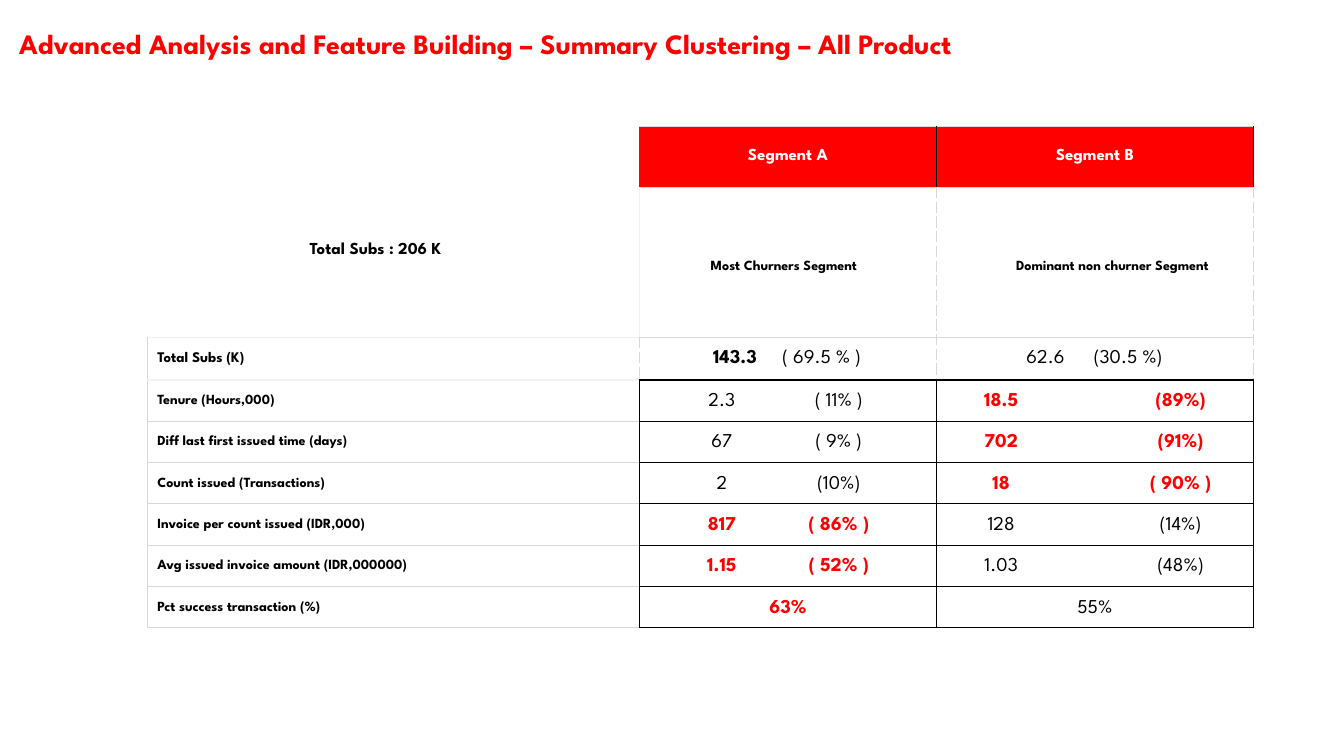
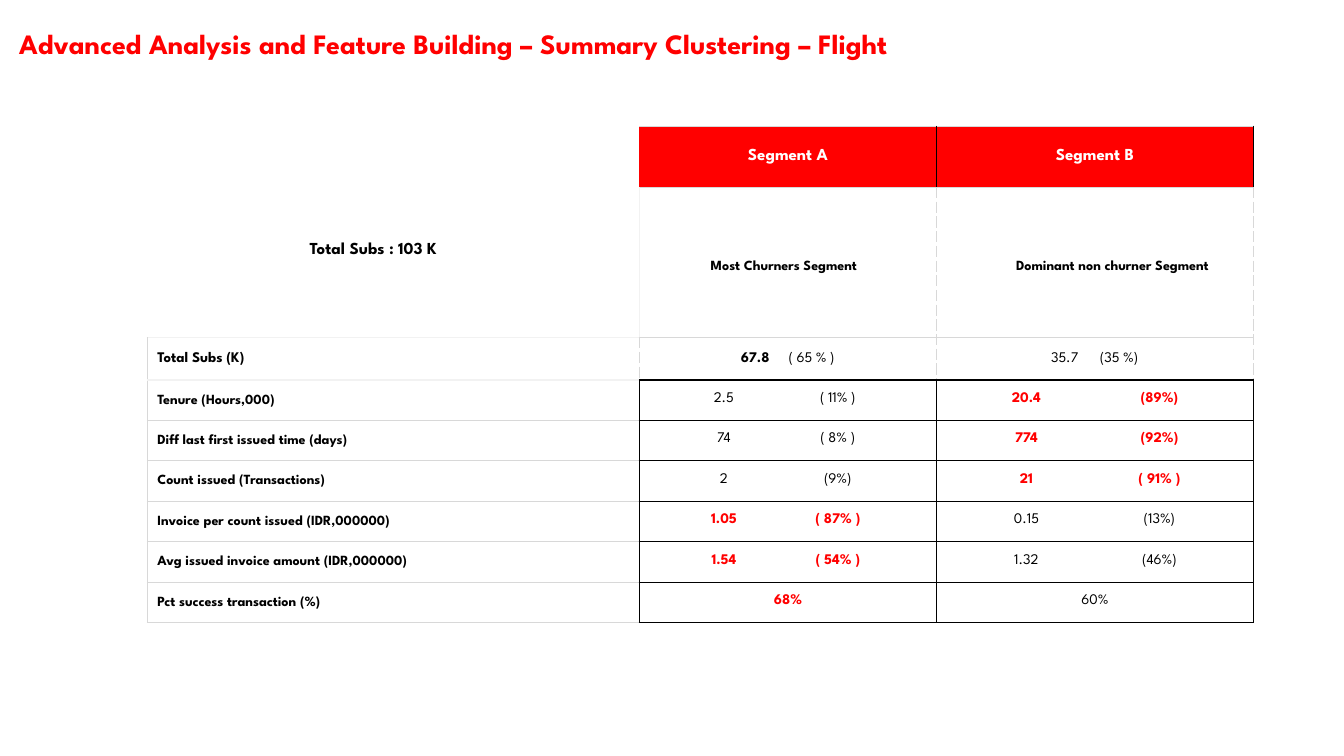
from dataclasses import dataclass

from lxml import etree
from pptx import Presentation
from pptx.dml.color import RGBColor
from pptx.enum.text import MSO_ANCHOR, PP_ALIGN
from pptx.oxml.ns import qn
from pptx.util import Inches, Pt

TOP, MIDDLE, BOTTOM = MSO_ANCHOR.TOP, MSO_ANCHOR.MIDDLE, MSO_ANCHOR.BOTTOM
LEFT, CENTER = PP_ALIGN.LEFT, PP_ALIGN.CENTER
NO_GRID_STYLE = "{2D5ABB26-0587-4C30-8999-92F81FD0307C}"


@dataclass(frozen=True)
class Theme:
    font: str = "League Spartan"
    red: str = "FF0000"
    black: str = "000000"
    white: str = "FFFFFF"
    grey: str = "D8D8D8"
    pale: str = "F2F2F2"
    title: float = 20
    head: float = 12
    total_label: float = 10.5
    label: float = 10


T = Theme()

# Border styles: colour, width in points, dash
GRID = (T.black, 1, "solid")
GREY = (T.grey, 0.75, "solid")
DASH = (T.grey, 0.75, "dash")
PALE = (T.pale, 1, "solid")

COLS = (4.88, 2.95, 3.14)
HEAD_ROWS = (0.61, 1.49, 0.42)
PAD = (0.1, 0.05, 0.1, 0.05)
LABEL_PAD = (0.1, 0.01, 0.01, 0)
VALUE_PAD = (0.1, 0.1, 0.1, 0.1)

# total: (value, share) per segment; rows: label, cell A, cell B, leading segment
# tabs: centres of value and share, measured from the text edge, per segment
SLIDES = (
    dict(
        product="All Product", subs="206 K", size=14, row=0.41,
        total=(("143.3", "( 69.5 % )"), ("62.6", "(30.5 %)")),
        total_tabs=((0.85, 1.71), (0.98, 1.8)),
        tabs=((0.72, 1.88), (0.54, 2.32)),
        rows=(
            ("Tenure (Hours,000)", ("2.3", "( 11% )"), ("18.5", "(89%)"), 1),
            ("Diff last first issued time (days)", ("67", "( 9% )"), ("702", "(91%)"), 1),
            ("Count issued (Transactions)", ("2", "(10%)"), ("18", "( 90% )"), 1),
            ("Invoice per count issued (IDR,000)", ("817", "( 86% )"), ("128", "(14%)"), 0),
            ("Avg issued invoice amount (IDR,000000)", ("1.15", "( 52% )"), ("1.03", "(48%)"), 0),
            ("Pct success transaction (%)", ("63%",), ("55%",), 0),
        ),
    ),
    dict(
        product="Flight", subs="103 K", size=10.5, row=0.38,
        total=(("67.8", "( 65 % )"), ("35.7", "(35 %)")),
        total_tabs=((1.05, 1.61), (1.17, 1.71)),
        tabs=((0.74, 1.87), (0.79, 2.11)),
        rows=(
            ("Tenure (Hours,000)", ("2.5", "( 11% )"), ("20.4", "(89%)"), 1),
            ("Diff last first issued time (days)", ("74", "( 8% )"), ("774", "(92%)"), 1),
            ("Count issued (Transactions)", ("2", "(9%)"), ("21", "( 91% )"), 1),
            ("Invoice per count issued (IDR,000000)", ("1.05", "( 87% )"), ("0.15", "(13%)"), 0),
            ("Avg issued invoice amount (IDR,000000)", ("1.54", "( 54% )"), ("1.32", "(46%)"), 0),
            ("Pct success transaction (%)", ("68%",), ("60%",), 0),
        ),
    ),
)


def add_run(p, text, size, color=T.black, bold=True):
    r = p.add_run()
    r.text = text
    r.font.name, r.font.size, r.font.bold = T.font, Pt(size), bold
    r.font.color.rgb = RGBColor.from_string(color)


def set_margins(box, pad):
    box.margin_left, box.margin_top, box.margin_right, box.margin_bottom = map(Inches, pad)


def add_text(s, text, x, y, w, h, size, color=T.black, pad=PAD, anchor=TOP):
    tf = s.shapes.add_textbox(Inches(x), Inches(y), Inches(w), Inches(h)).text_frame
    tf.word_wrap = True
    tf.vertical_anchor = anchor
    set_margins(tf, pad)
    add_run(tf.paragraphs[0], text, size, color)


def add_tabs(p, stops):
    tabs = etree.SubElement(p._p.get_or_add_pPr(), qn("a:tabLst"))
    for stop in stops:
        etree.SubElement(tabs, qn("a:tab"), pos=str(Inches(stop)), algn="ctr")


def set_border(cell, side, style):
    color, width, dash = style
    ln = etree.SubElement(cell._tc.get_or_add_tcPr(), qn("a:ln" + side), w=str(Pt(width)))
    fill = etree.SubElement(ln, qn("a:solidFill"))
    etree.SubElement(fill, qn("a:srgbClr"), val=color)
    etree.SubElement(ln, qn("a:prstDash"), val=dash)


def borders(row, col):
    """Styles for the left, right, top and bottom edges of a cell."""
    if row == 0:
        return ((None,) * 4, (None, GRID, GREY, GREY), (GRID, GRID, GREY, GREY))[col]
    if row == 1:
        return ((None, PALE, None, PALE), (PALE, DASH, GREY, GREY), (DASH, DASH, GREY, GREY))[col]
    if row == 2:
        return (GREY, DASH, PALE, PALE) if col == 0 else (DASH, DASH, GREY, GRID)
    if col == 0:
        return GREY, GRID, PALE if row == 3 else GREY, GREY
    return (GRID,) * 4


def fill_cell(cell, runs, pad=PAD, align=LEFT, anchor=MIDDLE, spacing=None, tabs=()):
    set_margins(cell, pad)
    cell.vertical_anchor = anchor
    p = cell.text_frame.paragraphs[0]
    p.alignment = align
    if spacing:
        p.line_spacing = spacing
    if tabs:
        add_tabs(p, tabs)
    for run in runs:
        add_run(p, *run)


def add_segment_table(s, data):
    heights = HEAD_ROWS + (data["row"],) * len(data["rows"])
    frame = s.shapes.add_table(len(heights), len(COLS), Inches(1.46), Inches(1.25),
                               Inches(sum(COLS)), Inches(sum(heights)))
    table = frame.table
    table.first_row = table.horz_banding = False
    table._tbl.tblPr.find(qn("a:tableStyleId")).text = NO_GRID_STYLE
    for column, width in zip(table.columns, COLS):
        column.width = Inches(width)
    for row, height in zip(table.rows, heights):
        row.height = Inches(height)

    # Borders and fills
    for i in range(len(heights)):
        for j in range(len(COLS)):
            cell = table.cell(i, j)
            for side, style in zip("LRTB", borders(i, j)):
                if style:
                    set_border(cell, side, style)
            cell.fill.solid()
            color = T.red if i == 0 and j > 0 else T.white
            cell.fill.fore_color.rgb = RGBColor.from_string(color)

    # Segment heads and totals
    size = data["size"]
    fill_cell(table.cell(2, 0), [("Total Subs (K)", T.total_label)], LABEL_PAD)
    for seg, name in enumerate("AB"):
        fill_cell(table.cell(0, seg + 1), [(f"Segment {name}", T.head, T.white)], align=CENTER)
        value, share = data["total"][seg]
        runs = [("\t" + value, size, T.black, seg == 0), ("\t" + share, size, T.black, False)]
        fill_cell(table.cell(2, seg + 1), runs, tabs=data["total_tabs"][seg])

    # Measures, with the leading segment in bold red
    for i, (label, *cells, leader) in enumerate(data["rows"], len(HEAD_ROWS)):
        fill_cell(table.cell(i, 0), [(label, T.label)], LABEL_PAD)
        for seg, parts in enumerate(cells):
            look = (size, T.red, True) if seg == leader else (size, T.black, False)
            paired = len(parts) > 1
            runs = [("\t" + part if paired else part, *look) for part in parts]
            fill_cell(table.cell(i, seg + 1), runs, VALUE_PAD, LEFT if paired else CENTER,
                      TOP, 1.15, data["tabs"][seg] if paired else ())


def add_summary_slide(prs, data):
    s = prs.slides.add_slide(prs.slide_layouts[6])
    add_segment_table(s, data)
    add_text(s, f"Total Subs : {data['subs']}", 3.07, 2.36, 1.42, 0.28, T.head,
             pad=(0, 0, 0, 0.05))
    add_text(s, f"Advanced Analysis and Feature Building – Summary Clustering – {data['product']}",
             0.19, 0.26, 10.62, 0.34, T.title, T.red, (0, 0, 0, 0), BOTTOM)
    add_text(s, "Most Churners Segment", 6.95, 2.5, 2.11, 0.27, T.label)
    add_text(s, "Dominant non churner Segment", 9.98, 2.5, 2.3, 0.27, T.label)


def main():
    prs = Presentation()
    prs.slide_width, prs.slide_height = Inches(13.33), Inches(7.5)
    for data in SLIDES:
        add_summary_slide(prs, data)
    prs.save("out.pptx")


if __name__ == "__main__":
    main()
